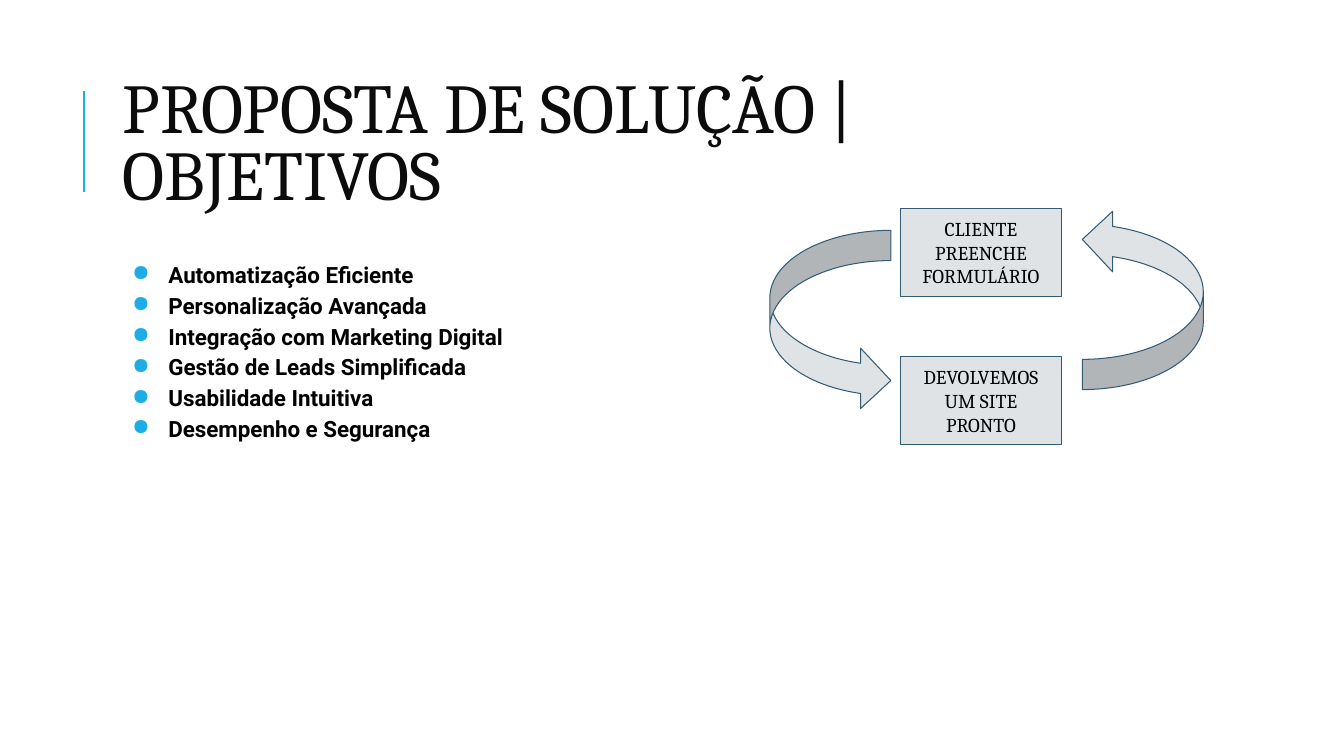
from lxml import etree
from pptx import Presentation
from pptx.dml.color import RGBColor
from pptx.enum import shapes, text
from pptx.oxml import ns
from pptx.util import Inches, Pt

# Content
TITLE = "PROPOSTA DE SOLUÇÃO | OBJETIVOS"
GOALS = [
    "Automatização Eficiente",
    "Personalização Avançada",
    "Integração com Marketing Digital",
    "Gestão de Leads Simplificada",
    "Usabilidade Intuitiva",
    "Desempenho e Segurança",
]
STEPS = ["CLIENTE PREENCHE FORMULÁRIO", "DEVOLVEMOS UM SITE PRONTO"]
CYCLE_ARROWS = [(10.44, 2.37, 270), (7.34, 2.58, 90)]  # left, top, rotation

# Style
SERIF, SANS = "Cambria", "Roboto"
BLACK = RGBColor(0x00, 0x00, 0x00)
INK = RGBColor(0x0C, 0x0C, 0x0C)
ACCENT = RGBColor(0x1C, 0xAD, 0xE4)
PALE = RGBColor(0xDF, 0xE3, 0xE5)
OUTLINE = RGBColor(0x33, 0x5B, 0x74)

# Layout
LEFT, WIDTH = 1.12, 10.63
STEP_LEFT, STEP_TOP, STEP_PITCH = 8.93, 2.07, 1.47
STEP_SIZE = (1.6, 0.87)
ARROW_SIZE = (1.79, 1.2)


def set_frame(box, anchor, side, edge):
    frame = box.text_frame
    frame.word_wrap = True
    frame.vertical_anchor = anchor
    frame.margin_left = frame.margin_right = Inches(side)
    frame.margin_top = frame.margin_bottom = Inches(edge)
    return frame


def add_span(para, words, font, size, color, bold=False):
    span = para.add_run()
    span.text = words
    span.font.name = font
    span.font.size = Pt(size)
    span.font.color.rgb = color
    span.font.bold = bold


def add_bullet(para):
    props = para._p.get_or_add_pPr()
    props.set("marL", str(Inches(0.5)))
    props.set("indent", str(Inches(-0.36)))
    color = etree.SubElement(props, ns.qn("a:buClr"))
    etree.SubElement(color, ns.qn("a:srgbClr"), val=str(ACCENT))
    etree.SubElement(props, ns.qn("a:buChar"), char="●")


def add_pale_shape(kind, left, top, size):
    shape = page.shapes.add_shape(kind, *map(Inches, (left, top, *size)))
    shape.shadow.inherit = False
    shape.fill.solid()
    shape.fill.fore_color.rgb = PALE
    shape.line.color.rgb = OUTLINE
    shape.line.width = Pt(0.75)
    return shape


deck = Presentation()
deck.slide_width, deck.slide_height = Inches(13.33), Inches(7.5)
page = deck.slides.add_slide(deck.slide_layouts[6])

# Accent rule beside the title
rule = page.shapes.add_connector(
    shapes.MSO_CONNECTOR.STRAIGHT,
    *map(Inches, (0.83, 1.9, 0.83, 0.9)))
rule.line.color.rgb = ACCENT
rule.line.width = Pt(1.5)
etree.SubElement(rule._element.spPr, ns.qn("a:effectLst"))

# Title
title_box = page.shapes.add_textbox(*map(Inches, (LEFT, 0.64, WIDTH, 1.64)))
para = set_frame(title_box, text.MSO_ANCHOR.MIDDLE, 0.1, 0.05).paragraphs[0]
para.line_spacing = 0.8
add_span(para, TITLE, SERIF, 50, INK)

# Goals
goals_box = page.shapes.add_textbox(*map(Inches, (LEFT, 2.5, WIDTH, 4.4)))
frame = set_frame(goals_box, text.MSO_ANCHOR.TOP, 0.05, 0.05)
for index, goal in enumerate(GOALS):
    para = frame.add_paragraph() if index else frame.paragraphs[0]
    para.line_spacing = 1.15
    para.space_before = Pt(0 if index else 15)
    add_bullet(para)
    add_span(para, goal, SANS, 16, BLACK, bold=True)

# Cycle steps
for index, step in enumerate(STEPS):
    box = add_pale_shape(shapes.MSO_SHAPE.RECTANGLE, STEP_LEFT,
                         STEP_TOP + index * STEP_PITCH, STEP_SIZE)
    para = set_frame(box, text.MSO_ANCHOR.MIDDLE, 0.1, 0.1).paragraphs[0]
    para.alignment = text.PP_ALIGN.CENTER
    add_span(para, step, SERIF, 14, BLACK)

# Cycle arrows
for left, top, rotation in CYCLE_ARROWS:
    arrow = add_pale_shape(shapes.MSO_SHAPE.CURVED_UP_ARROW, left, top, ARROW_SIZE)
    arrow.rotation = rotation

deck.save("out.pptx")
